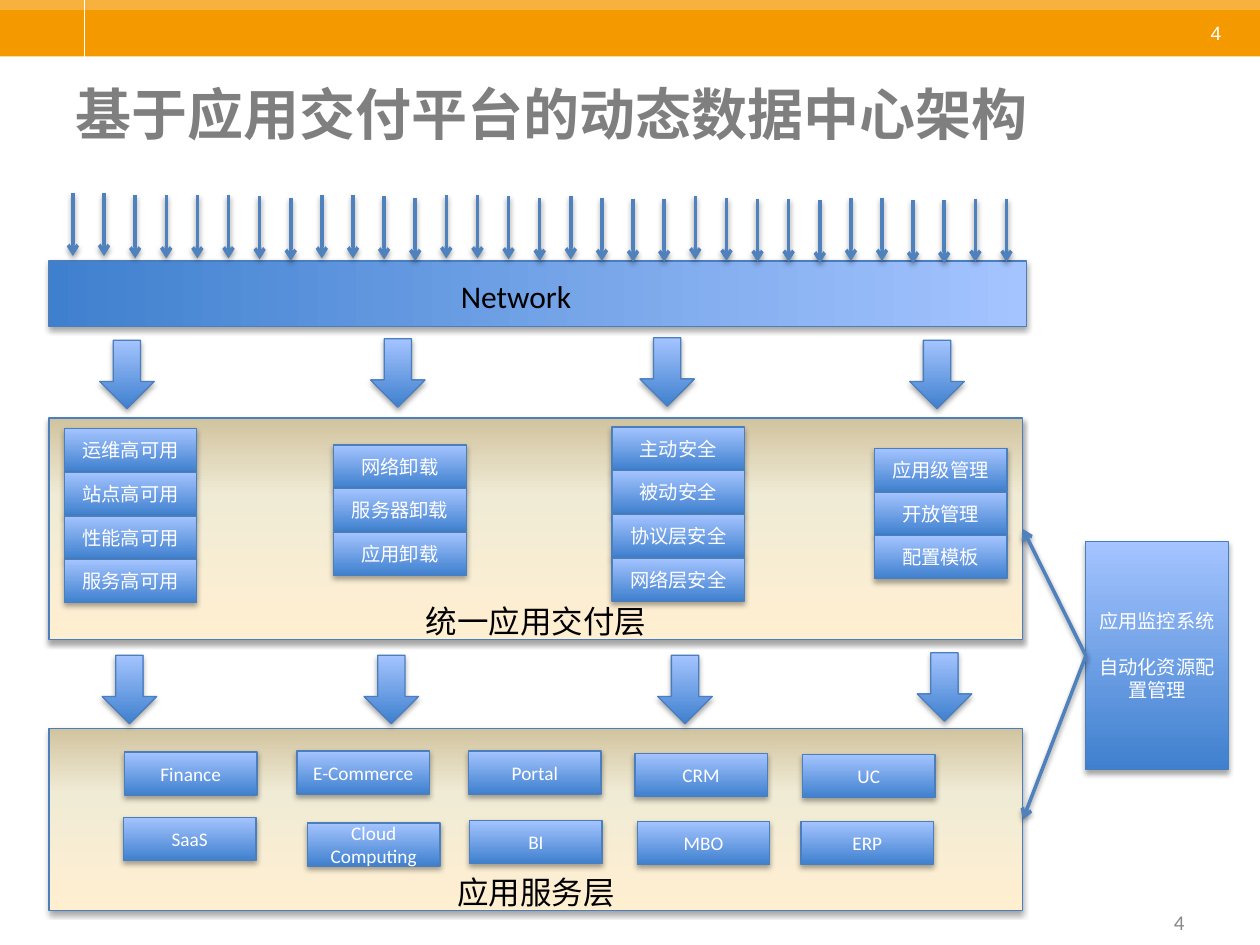
"""Build the dynamic data centre architecture slide."""
from copy import deepcopy
from dataclasses import dataclass
from typing import Any

from lxml.etree import SubElement
from pptx import Presentation
from pptx.dml.color import RGBColor
from pptx.enum.shapes import MSO_CONNECTOR as Link, MSO_SHAPE as Preset
from pptx.enum.text import MSO_ANCHOR as Anchor, PP_ALIGN as Align
from pptx.oxml.ns import qn
from pptx.util import Cm, Pt

BLUE = ((0, "3F80CE"), (1, "A4C4FF"))
SAND = ((0, "FFEFD1"), (0.65, "F0EBD5"), (1, "D1C39F"))
TILE_SIZE = (2.67, 0.87)
TILE_PITCH = 0.88
BLOCK_ARROW_SIZE = (1.1, 1.38)
REQUEST_LENGTH = 1.27
FIRST_REQUEST, LAST_REQUEST = 1.47, 20.29


@dataclass(frozen=True)
class Box:
    left: float
    top: float
    width: float
    height: float


@dataclass(frozen=True)
class Stack:
    left: float
    top: float
    features: tuple[str, ...]


@dataclass(frozen=True)
class Service:
    name: str
    left: float
    top: float


STACKS = (
    Stack(1.3, 8.64, ("运维高可用", "站点高可用", "性能高可用", "服务高可用")),
    Stack(6.73, 8.97, ("网络卸载", "服务器卸载", "应用卸载")),
    Stack(12.34, 8.61, ("主动安全", "被动安全", "协议层安全", "网络层安全")),
    Stack(17.63, 9.04, ("应用级管理", "开放管理", "配置模板")),
)
SERVICES = (
    Service("Finance", 2.51, 15.16), Service("SaaS", 2.49, 16.48),
    Service("E-Commerce", 5.99, 15.14), Service("Cloud Computing", 6.2, 16.59),
    Service("Portal", 9.45, 15.14), Service("BI", 9.47, 16.54),
    Service("CRM", 12.8, 15.19), Service("MBO", 12.85, 16.56),
    Service("UC", 16.18, 15.21), Service("ERP", 16.15, 16.56),
)
BLOCK_ARROWS = (
    (2.01, 6.86), (7.47, 6.83), (12.9, 6.81), (18.34, 6.86),
    (2.06, 13.21), (7.34, 13.21), (13.26, 13.21), (18.49, 13.16),
)
REQUEST_TOPS = (
    3.89, 3.89, 3.94, 3.94, 3.94, 3.94, 3.96, 3.99, 3.94, 3.94, 3.96,
    3.99, 3.94, 3.94, 3.96, 3.99, 3.96, 3.99, 4.01, 4.01, 3.96, 3.99,
    4.01, 4.01, 4.04, 3.99, 3.99, 4.04, 4.04, 4.01, 4.01,
)


def color(value: str) -> RGBColor:
    return RGBColor.from_string(value)


def emu(box: Box) -> tuple[Cm, ...]:
    return tuple(Cm(v) for v in (box.left, box.top, box.width, box.height))


def apply(target: Any, formats: dict[str, Any]) -> None:
    for attribute, value in formats.items():
        setattr(target, attribute, value)


def write(shape: Any, lines: tuple[str, ...], size: float, ink: str,
          align: Any = Align.CENTER, anchor: Any = Anchor.MIDDLE,
          face: str = "Calibri", bold: bool = False, wrap: bool = True) -> None:
    frame = shape.text_frame
    apply(frame, {"text": "\n".join(lines), "word_wrap": wrap, "vertical_anchor": anchor})
    for paragraph in frame.paragraphs:
        paragraph.alignment = align
        apply(paragraph.font, {"name": face, "size": Pt(size), "bold": bold})
        paragraph.font.color.rgb = color(ink)


def cast_shadow(effects: Any, distance: int, opacity: int) -> None:
    shadow = SubElement(effects, qn("a:outerShdw"), blurRad="40000", dist=str(distance),
                        dir="5400000", rotWithShape="0")
    black = SubElement(shadow, qn("a:srgbClr"), val="000000")
    SubElement(black, qn("a:alpha"), val=str(opacity * 1000))


def add_block(slide: Any, box: Box, stops: tuple = BLUE, angle: float = 90,
              preset: Any = Preset.RECTANGLE) -> Any:
    block = slide.shapes.add_shape(preset, *emu(box))
    block.fill.gradient()
    block.fill.gradient_angle = angle
    properties = block._element.spPr
    ramp = properties.find(".//" + qn("a:gsLst"))
    for _ in stops[2:]:
        ramp.append(deepcopy(ramp[-1]))
    for stop, (position, value) in zip(block.fill.gradient_stops, stops):
        stop.position = position
        stop.color.rgb = color(value)
    block.line.color.rgb = color("4B7EBC")
    block.line.width = Pt(0.75)
    block.shadow.inherit = False
    cast_shadow(properties.find(qn("a:effectLst")), 23000, 35)
    return block


def add_tile(slide: Any, label: str, left: float, top: float) -> None:
    write(add_block(slide, Box(left, top, *TILE_SIZE)), (label,), 11, "FFFFFF")


def add_layer(slide: Any, label: str, box: Box) -> Any:
    layer = add_block(slide, box, SAND)
    write(layer, (label,), 18, "000000", anchor=Anchor.BOTTOM)
    layer.text_frame.margin_bottom = Cm(0)
    return layer


def add_line(slide: Any, start: tuple[float, float], end: tuple[float, float],
             ink: str = "4F81BD", width: float = 2, arrow: bool = True) -> Any:
    line = slide.shapes.add_connector(Link.STRAIGHT, *(Cm(v) for v in start + end))
    line.line.color.rgb = color(ink)
    line.line.width = Pt(width)
    effects = SubElement(line._element.spPr, qn("a:effectLst"))
    if arrow:
        SubElement(line.line._get_or_add_ln(), qn("a:tailEnd"), type="arrow")
        cast_shadow(effects, 20000, 38)
    return line


def add_band(slide: Any, height: float, fill: str) -> None:
    band = slide.shapes.add_shape(Preset.RECTANGLE, *emu(Box(0, 0, 25.4, height)))
    band.fill.solid()
    band.fill.fore_color.rgb = color(fill)
    band.line.fill.background()
    band.shadow.inherit = False


def add_caption(slide: Any, text: str, box: Box, size: float, ink: str, **formats: Any) -> None:
    write(slide.shapes.add_textbox(*emu(box)), (text,), size, ink, **formats)


def main() -> None:
    deck = Presentation()
    apply(deck, {"slide_width": Cm(25.4), "slide_height": Cm(19.05)})
    slide = deck.slides.add_slide(deck.slide_layouts[5])

    add_band(slide, 1.14, "F49900")
    add_band(slide, 0.2, "F7B23D")
    add_line(slide, (1.7, 0), (1.7, 1.14), "FFFFFF", 0.75, arrow=False)
    add_caption(slide, "4", Box(23.98, 0.3, 1.07, 0.74), 11, "FFFFFF",
                face="Arial", anchor=Anchor.TOP)
    title = slide.shapes.title
    apply(title, dict(zip(("left", "top", "width", "height"), emu(Box(1.27, 1.47, 22.86, 2.24)))))
    write(title, ("基于应用交付平台的动态数据中心架构",), 32, "7F7F7F",
          Align.LEFT, Anchor.TOP, "Arial", bold=True)
    add_caption(slide, "4", Box(18.21, 18.08, 5.92, 1.02), 12, "898989", align=Align.RIGHT)

    service_layer = add_layer(slide, "应用服务层", Box(0.99, 14.68, 19.63, 3.68))
    delivery_layer = add_layer(slide, "统一应用交付层", Box(0.99, 8.43, 19.63, 4.47))
    for stack in STACKS:
        for row, feature in enumerate(stack.features):
            add_tile(slide, feature, stack.left, stack.top + row * TILE_PITCH)
    for service in SERVICES:
        add_tile(slide, service.name, service.left, service.top)

    add_block(slide, Box(0.99, 5.26, 19.71, 1.32), angle=0)
    add_caption(slide, "Network", Box(9.04, 5.46, 2.87, 1.02), 18, "000000",
                align=Align.LEFT, anchor=Anchor.TOP, wrap=False)
    request_pitch = (LAST_REQUEST - FIRST_REQUEST) / (len(REQUEST_TOPS) - 1)
    for column, top in enumerate(REQUEST_TOPS):
        left = FIRST_REQUEST + column * request_pitch
        add_line(slide, (left, top), (left, top + REQUEST_LENGTH))
    for left, top in BLOCK_ARROWS:
        add_block(slide, Box(left, top, *BLOCK_ARROW_SIZE), preset=Preset.DOWN_ARROW)

    monitor = add_block(slide, Box(21.89, 10.92, 2.87, 4.6))
    write(monitor, ("应用监控系统", "自动化资源配置管理"), 11, "FFFFFF")
    monitor.text_frame.paragraphs[1].space_before = Pt(13)
    for layer, middle in ((delivery_layer, 10.67), (service_layer, 16.52)):
        control = add_line(slide, (21.89, 13.22), (20.62, middle))
        control.begin_connect(monitor, 1)
        control.end_connect(layer, 3)

    deck.save("out.pptx")


if __name__ == "__main__":
    main()
